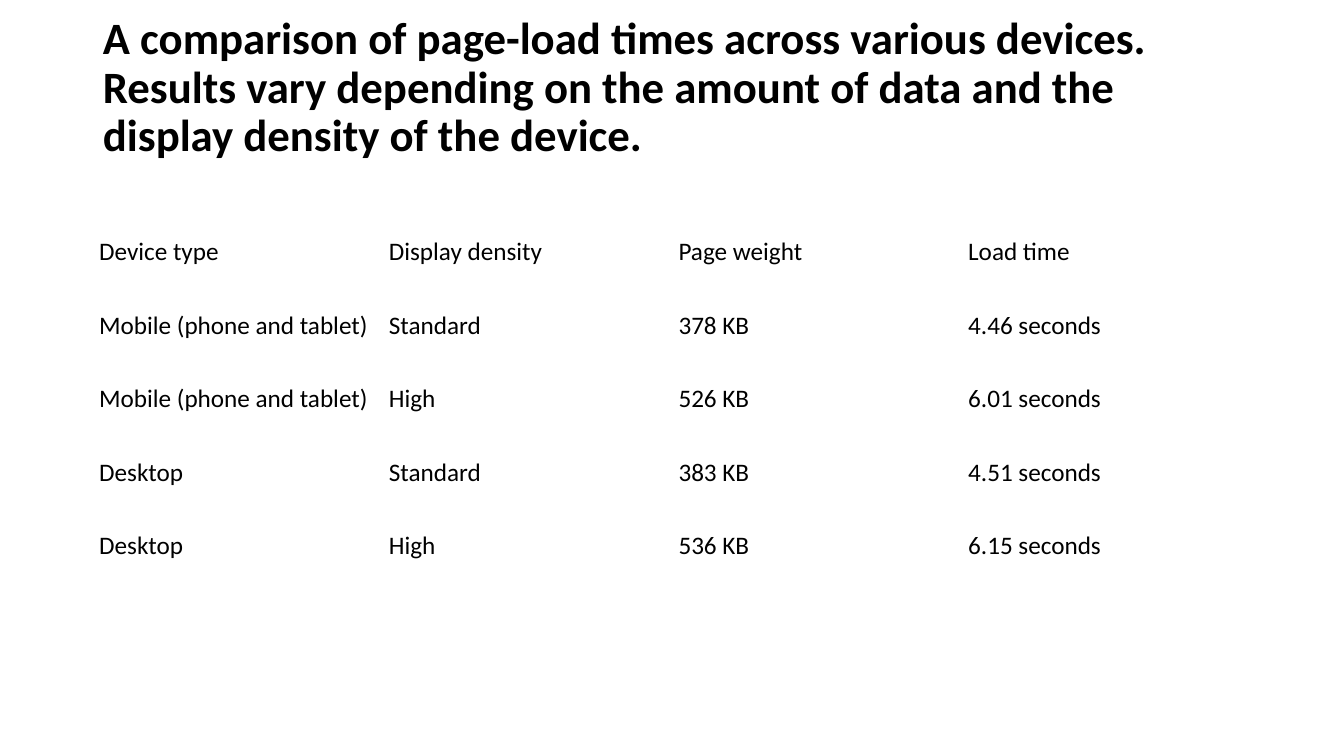
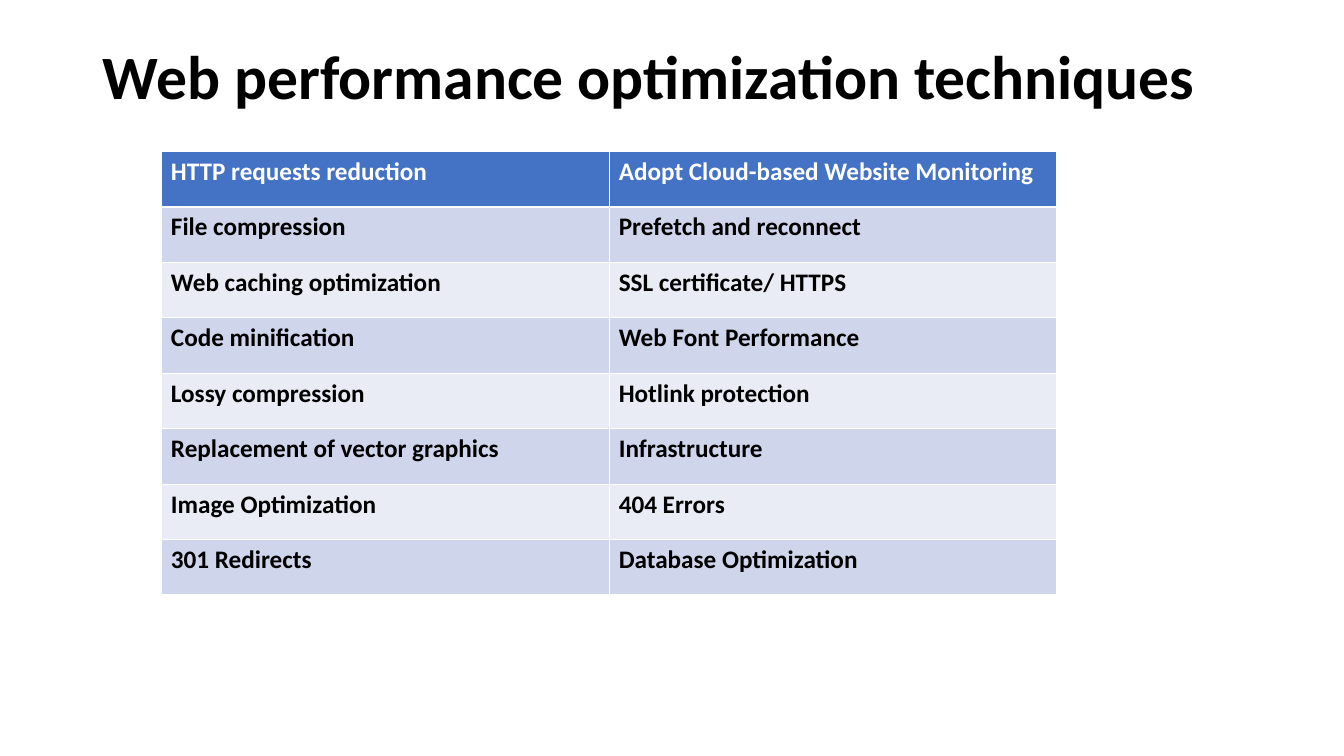
from dataclasses import dataclass

from lxml.etree import SubElement
from pptx import Presentation
from pptx.dml.color import RGBColor
from pptx.enum.text import MSO_ANCHOR, MSO_AUTO_SIZE, PP_ALIGN
from pptx.oxml.ns import qn
from pptx.presentation import Presentation as Deck
from pptx.slide import Slide
from pptx.table import _Cell as Cell
from pptx.text.text import TextFrame
from pptx.util import Cm, Pt

FONT = "Calibri"
BLACK, WHITE, BLUE = "000000", "FFFFFF", "4472C4"
BANDS = ("CFD5EA", "E9EBF5")
THIN, THICK = 0.45, 1.47
PAD = 0.13


@dataclass(frozen=True)
class Grid:
    """A table's place in centimetres, its look and its rows."""
    left: float
    top: float
    width: float
    height: float
    inset: float
    banded: bool
    rows: tuple[tuple[str, ...], ...]


@dataclass(frozen=True)
class Page:
    """A slide's title, title size in points and table."""
    title: str
    size: int
    grid: Grid


PAGES = (
    Page(
        "A comparison of page-load times across various devices. Results vary "
        "depending on the amount of data and the display density of the device.",
        32,
        Grid(2.34, 5.84, 29.21, 9.25, 0.16, False, (
            ("Device type", "Display density", "Page weight", "Load time"),
            ("Mobile (phone and tablet)", "Standard", "378 KB", "4.46 seconds"),
            ("Mobile (phone and tablet)", "High", "526 KB", "6.01 seconds"),
            ("Desktop", "Standard", "383 KB", "4.51 seconds"),
            ("Desktop", "High", "536 KB", "6.15 seconds"),
        )),
    ),
    Page(
        "Web performance optimization techniques",
        44,
        Grid(4.06, 3.81, 22.58, 11.18, 0.25, True, (
            ("HTTP requests reduction", "Adopt Cloud-based Website Monitoring"),
            ("File compression", "Prefetch and reconnect"),
            ("Web caching optimization", "SSL certificate/ HTTPS"),
            ("Code minification", "Web Font Performance"),
            ("Lossy compression", "Hotlink protection"),
            ("Replacement of vector graphics", "Infrastructure"),
            ("Image Optimization", "404 Errors"),
            ("301 Redirects", "Database Optimization"),
        )),
    ),
)


def tint(code: str) -> RGBColor:
    """Turn a hex string into a colour."""
    return RGBColor.from_string(code)


def write(frame: TextFrame, text: str, *, size: int, color: str = BLACK,
          bold: bool = False, space: float = 1.0) -> None:
    """Put left-aligned, formatted text into a frame."""
    para = frame.paragraphs[0]
    para.alignment = PP_ALIGN.LEFT
    para.line_spacing = space
    run = para.add_run()
    run.text = text
    font = run.font
    font.name, font.size, font.bold = FONT, Pt(size), bold
    font.color.rgb = tint(color)


def edge(cell: Cell, side: str, weight: float | None) -> None:
    """Give one side of a cell a white line, or none."""
    line = SubElement(cell._tc.get_or_add_tcPr(), qn(f"a:ln{side}"))
    if weight is None:
        SubElement(line, qn("a:noFill"))
        return
    line.set("w", str(int(Pt(weight))))
    fill = SubElement(line, qn("a:solidFill"))
    SubElement(fill, qn("a:srgbClr")).set("val", WHITE)


def style(cell: Cell, row: int, grid: Grid) -> None:
    """Set a cell's insets, borders and fill."""
    cell.margin_left = cell.margin_right = Cm(grid.inset)
    cell.margin_top = cell.margin_bottom = Cm(PAD)
    cell.vertical_anchor = MSO_ANCHOR.TOP
    heavy = {(0, "B"), (1, "T")}
    for side in "LRTB":
        weight = THICK if (row, side) in heavy else THIN
        edge(cell, side, weight if grid.banded else None)
    if grid.banded:
        cell.fill.solid()
        cell.fill.fore_color.rgb = tint(BANDS[(row - 1) % 2] if row else BLUE)
    else:
        cell.fill.background()


def head(slide: Slide, text: str, size: int) -> None:
    """Place the title, raised by half a line."""
    title = slide.shapes.title
    title.left, title.top = Cm(2.34), Cm(1.02)
    title.width, title.height = Cm(29.21), Cm(3.68)
    frame = title.text_frame
    frame.word_wrap = True
    frame.auto_size = MSO_AUTO_SIZE.NONE
    frame.vertical_anchor = MSO_ANCHOR.MIDDLE
    frame.margin_bottom = Cm(PAD) + Pt(size * 1.1)
    write(frame, text, size=size, bold=True, space=0.9)


def draw(slide: Slide, grid: Grid) -> None:
    """Draw a table with equal columns and rows."""
    table = slide.shapes.add_table(
        len(grid.rows), len(grid.rows[0]), Cm(grid.left), Cm(grid.top),
        Cm(grid.width), Cm(grid.height)).table
    table.first_row = table.horz_banding = False
    for row, texts in enumerate(grid.rows):
        for col, text in enumerate(texts):
            cell = table.cell(row, col)
            style(cell, row, grid)
            color = WHITE if grid.banded and row == 0 else BLACK
            write(cell.text_frame, text, size=18, color=color, bold=grid.banded)


def build(deck: Deck, page: Page) -> None:
    """Add one slide with its title and table."""
    slide = deck.slides.add_slide(deck.slide_layouts[5])
    head(slide, page.title, page.size)
    draw(slide, page.grid)


def main() -> None:
    """Build and save the deck."""
    deck = Presentation()
    deck.slide_width, deck.slide_height = Cm(33.88), Cm(19.05)
    for page in PAGES:
        build(deck, page)
    deck.save("out.pptx")


if __name__ == "__main__":
    main()
